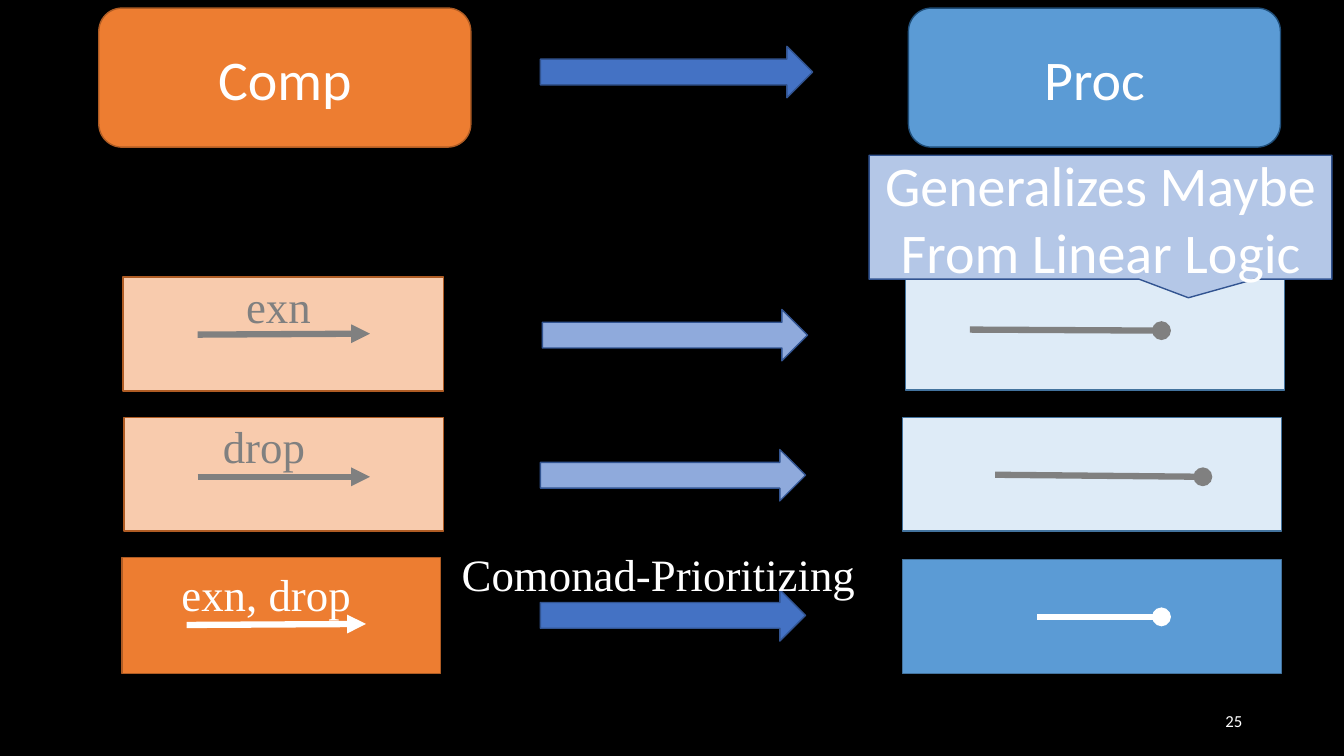
import pptx
import pptx.util
import pptx.dml.color
import pptx.enum.shapes
import pptx.enum.text
import pptx.oxml.ns
from lxml import etree

Inches = pptx.util.Inches
Pt = pptx.util.Pt
SHAPES = pptx.enum.shapes.MSO_SHAPE
ALIGN = pptx.enum.text.PP_ALIGN
ANCHOR = pptx.enum.text.MSO_ANCHOR

COLORS = {
    "black": "000000", "white": "FFFFFF", "gray": "808080",
    "orange": "ED7D31", "pale orange": "F8CBAD", "orange edge": "AF5C24",
    "sky": "5B9BD5", "pale sky": "DEEBF7", "sky edge": "43739E", "navy": "1F4E79",
    "blue": "4472C4", "soft blue": "8FAADC", "pale blue": "B4C7E7", "blue edge": "325491",
}


def rgb(color):
    return pptx.dml.color.RGBColor.from_string(COLORS[color])


class Diagram:
    """Draws styled elements on one slide."""
    heading_font, label_font = "Calibri", "Times New Roman"

    def __init__(self, slide):
        self.slide = slide
        slide.background.fill.solid()
        slide.background.fill.fore_color.rgb = rgb("black")

    def set_text(self, frame, text, font, size, color, align):
        frame.text = text
        for paragraph in frame.paragraphs:
            paragraph.alignment = align
            paragraph.font.name = font
            paragraph.font.size = Pt(size)
            paragraph.font.color.rgb = rgb(color)

    def shape(self, kind, box, fill, edge, text=""):
        shape = self.slide.shapes.add_shape(kind, *map(Inches, box))
        shape.shadow.inherit = False
        shape.fill.solid()
        shape.fill.fore_color.rgb = rgb(fill)
        shape.line.color.rgb = rgb(edge)
        shape.line.width = Pt(1)
        if text:
            shape.text_frame.vertical_anchor = ANCHOR.MIDDLE
            self.set_text(shape.text_frame, text, self.heading_font, 40, "white", ALIGN.CENTER)
        return shape

    def label(self, box, text, color):
        """Add a Times label without insets."""
        frame = self.slide.shapes.add_textbox(*map(Inches, box)).text_frame
        frame.margin_left = frame.margin_top = frame.margin_right = frame.margin_bottom = 0
        frame.word_wrap = False
        frame.auto_size = pptx.enum.text.MSO_AUTO_SIZE.SHAPE_TO_FIT_TEXT
        self.set_text(frame, text, self.label_font, 32, color, ALIGN.LEFT)

    def page_number(self, box, text):
        frame = self.slide.shapes.add_textbox(*map(Inches, box)).text_frame
        frame.word_wrap = True
        frame.vertical_anchor = ANCHOR.MIDDLE
        self.set_text(frame, text, self.heading_font, 12, "white", ALIGN.RIGHT)

    def wire(self, start, end, color, ending):
        """Add a thick line that ends in a triangle or an oval."""
        wire = self.slide.shapes.add_connector(
            pptx.enum.shapes.MSO_CONNECTOR.STRAIGHT, *map(Inches, start + end))
        wire.line.color.rgb = rgb(color)
        wire.line.width = Pt(4.5)
        properties = wire.element.spPr
        outline = properties.find(pptx.oxml.ns.qn("a:ln"))
        etree.SubElement(outline, pptx.oxml.ns.qn("a:tailEnd"), type=ending)
        etree.SubElement(properties, pptx.oxml.ns.qn("a:effectLst"))


# effect, palette, Comp box, label box, Comp wire, arrow corner, Proc box, Proc wire
MUTED = ("gray", "pale orange", "soft blue", "pale sky")
STRONG = ("white", "orange", "blue", "sky")
ROWS = [
    ("exn", MUTED, (1.22, 2.75, 3.18, 1.13), (2.44, 2.77, 0.68, 0.54),
     ((1.96, 3.32), (3.67, 3.31)), (5.38, 3.07),
     (8.98, 2.74, 3.76, 1.13), ((9.62, 3.27), (11.52, 3.28))),
    ("drop", MUTED, (1.23, 4.14, 3.17, 1.13), (2.21, 4.15, 0.92, 0.54),
     ((1.96, 4.73), (3.67, 4.73)), (5.36, 4.46),
     (8.95, 4.14, 3.76, 1.13), ((9.87, 4.71), (11.93, 4.73))),
    ("exn, drop", STRONG, (1.21, 5.53, 3.16, 1.15), (1.8, 5.62, 1.93, 0.54),
     ((1.85, 6.2), (3.63, 6.19)), (5.36, 5.85),
     (8.95, 5.55, 3.76, 1.13), ((10.29, 6.12), (11.52, 6.12))),
]


def main():
    deck = pptx.Presentation()
    deck.slide_width, deck.slide_height = Inches(13.33), Inches(7.5)
    diagram = Diagram(deck.slides.add_slide(deck.slide_layouts[6]))

    diagram.shape(SHAPES.ROUNDED_RECTANGLE, (0.98, 0.08, 3.69, 1.38),
                  "orange", "orange edge", "Comp")
    diagram.shape(SHAPES.RIGHT_ARROW, (5.36, 0.46, 2.7, 0.51), "blue", "blue edge")
    diagram.shape(SHAPES.ROUNDED_RECTANGLE, (9.01, 0.08, 3.69, 1.38), "sky", "navy", "Proc")

    for effect, palette, comp, label, comp_wire, arrow, proc, proc_wire in ROWS:
        ink, comp_fill, arrow_fill, proc_fill = palette
        diagram.shape(SHAPES.RECTANGLE, comp, comp_fill, "orange edge")
        diagram.wire(*comp_wire, ink, "triangle")
        diagram.label(label, effect, ink)
        diagram.shape(SHAPES.RIGHT_ARROW, arrow + (2.63, 0.51), arrow_fill, "blue edge")
        diagram.shape(SHAPES.RECTANGLE, proc, proc_fill, "sky edge")
        diagram.wire(*proc_wire, ink, "oval")

    diagram.label((4.58, 5.42, 4.16, 0.54), "Comonad-Prioritizing", "white")
    callout = diagram.shape(SHAPES.RECTANGULAR_CALLOUT, (8.62, 1.54, 4.59, 1.23), "pale blue",
                            "blue edge", "Generalizes Maybe\nFrom Linear Logic")
    callout.adjustments[0], callout.adjustments[1] = 0.19, 0.65
    diagram.page_number((9.42, 6.95, 3, 0.4), "25")

    deck.save("out.pptx")


if __name__ == "__main__":
    main()
